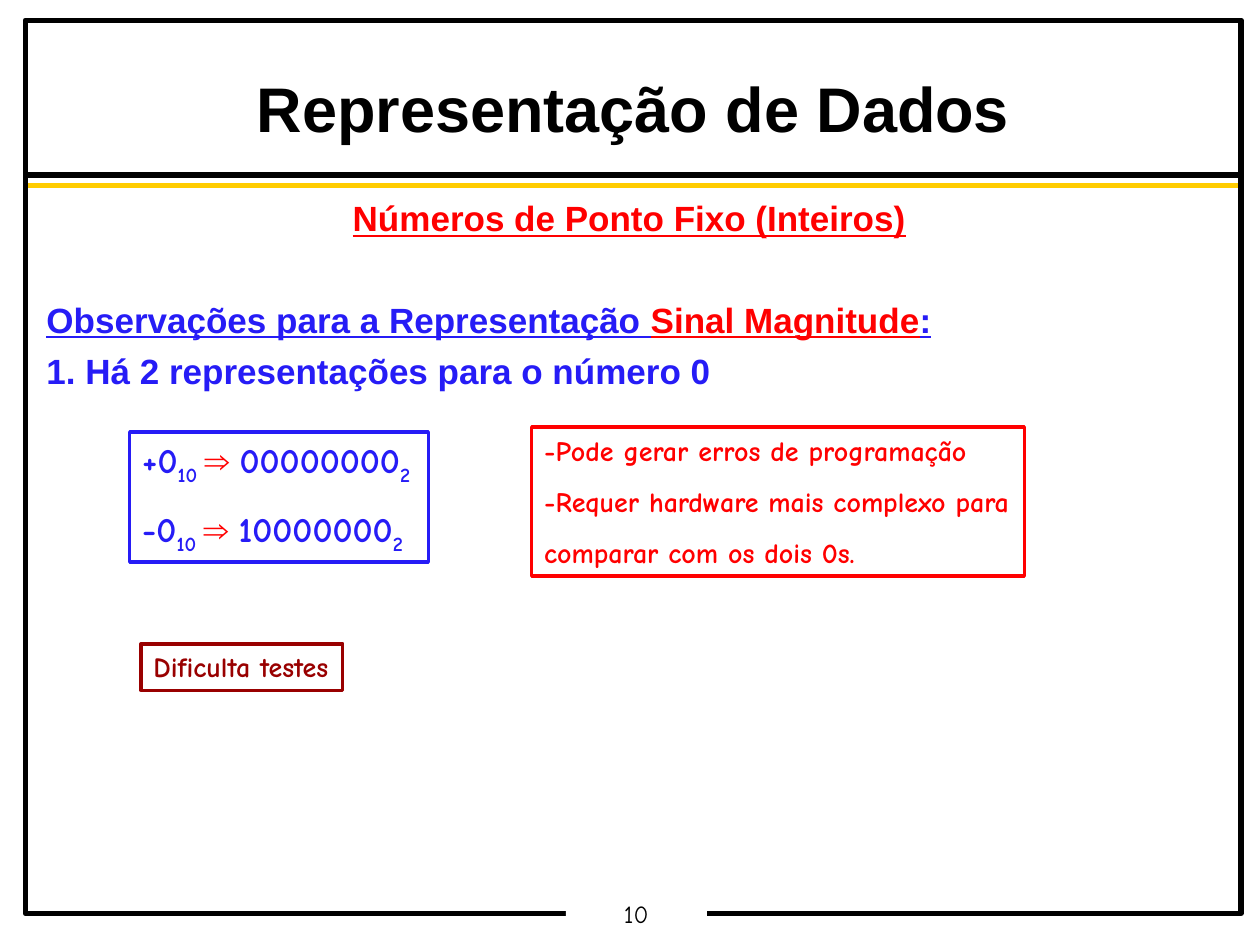
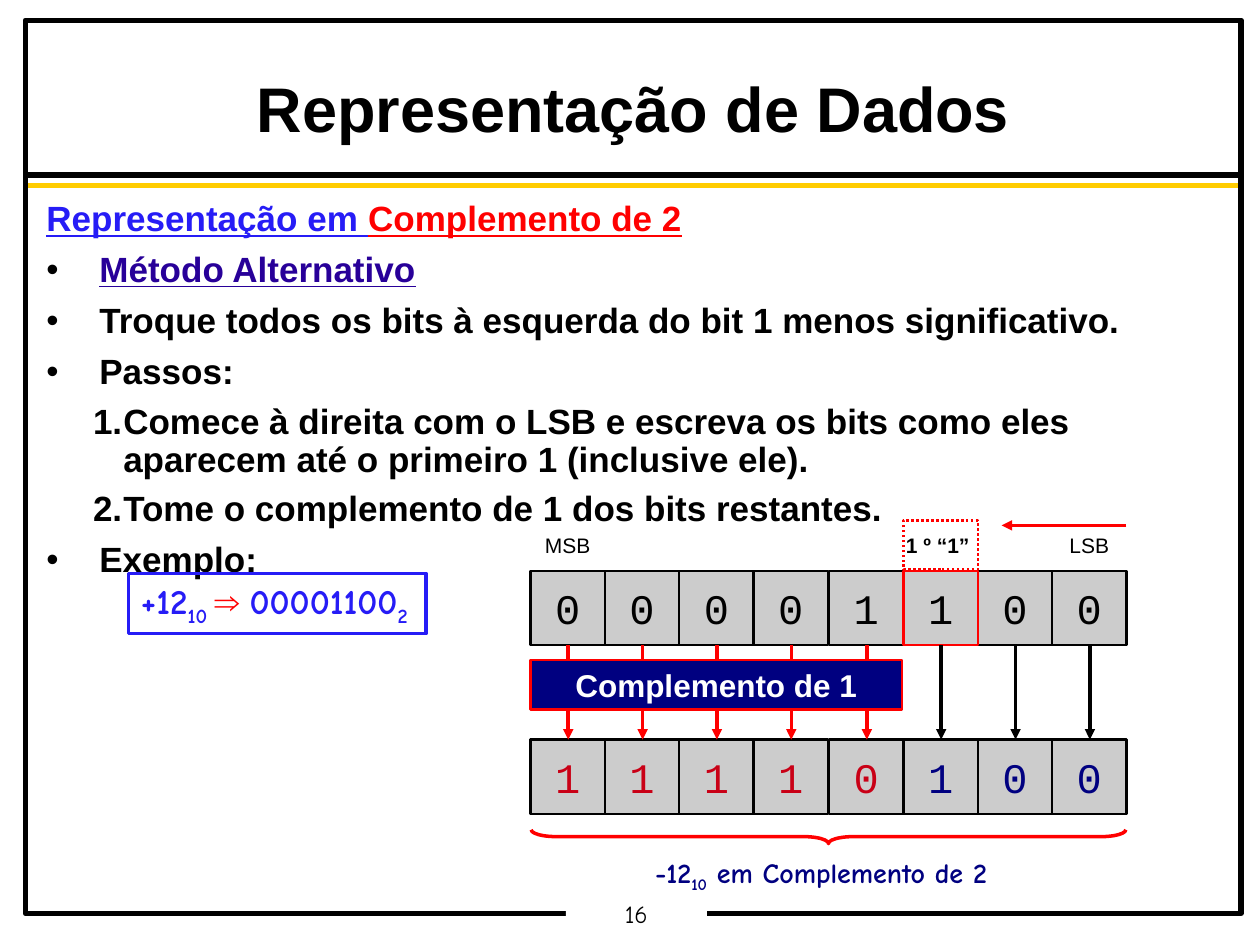
"""Builds two lecture slides on fixed-point number representation."""
from dataclasses import dataclass

from lxml import etree
from pptx import Presentation
from pptx import util as u
from pptx.dml.color import RGBColor
from pptx.enum import dml, shapes, text
from pptx.oxml import ns

PX = u.Inches(1) // 100


@dataclass(frozen=True)
class Theme:
    black: str = "000000"
    white: str = "FFFFFF"
    gold: str = "FFCC00"
    red: str = "FF0000"
    blue: str = "261CF6"
    violet: str = "280099"
    navy: str = "000080"
    maroon: str = "990000"
    crimson: str = "C90016"
    gray: str = "CCCCCC"
    sans: str = "Arial"
    comic: str = "Comic Neue"
    mono: str = "Courier New"
    title: int = 36
    bit: int = 24
    body: int = 20
    banner: int = 18
    note: int = 16
    page: int = 14
    label: int = 12
    frame: float = 3
    outline: float = 2
    cell: float = 1.42


THEME = Theme()


def span(content, **style):
    return content, style


def add_child(parent, tag, **attributes):
    return etree.SubElement(parent, ns.qn(tag), attributes)


def write(paragraph, content, *, size=THEME.body, color=THEME.black, font=THEME.sans,
          bold=False, underline=False, subscript=False):
    run = paragraph.add_run()
    run.text = content
    run.font.size = u.Pt(size)
    run.font.color.rgb = RGBColor.from_string(color)
    run.font.name = font
    run.font.bold = bold
    run.font.underline = underline
    if subscript:
        run._r.get_or_add_rPr().set("baseline", "-25000")


class Deck:
    """Holds the style and the current slide, and draws each kind of element."""

    def __init__(self, theme):
        self.theme = theme
        self.presentation = Presentation()
        self.presentation.slide_width = 1000 * PX
        self.presentation.slide_height = 750 * PX
        self.slide = None

    def new_slide(self, title, number):
        theme = self.theme
        self.slide = self.presentation.slides.add_slide(self.presentation.slide_layouts[6])
        for y, color in ((139, theme.black), (147, theme.gold)):
            self.line(20, y, 984, y, color, theme.frame)
        self.box(20, 16, 965, 709, line=theme.black, width=theme.frame)
        footer = self.box(449, 713, 112, 27, fill=theme.white)
        self.fill_text(footer, [[span(str(number))]], size=theme.page, font=theme.comic,
                       align="CENTER", spacing=0.9, inset=(7, 3))
        self.text(20, 57, 965, 63, [[span(title)]], size=theme.title, bold=True,
                  align="CENTER", spacing=0.95, inset=(7, 3))

    def box(self, x, y, width_px, height_px, fill=None, line=None, width=THEME.cell,
            kind=shapes.MSO_SHAPE.RECTANGLE):
        shape = self.slide.shapes.add_shape(kind, x * PX, y * PX, width_px * PX, height_px * PX)
        shape.shadow.inherit = False
        if fill:
            shape.fill.solid()
            shape.fill.fore_color.rgb = RGBColor.from_string(fill)
        else:
            shape.fill.background()
        if line:
            shape.line.color.rgb = RGBColor.from_string(line)
            shape.line.width = u.Pt(width)
        else:
            shape.line.fill.background()
        return shape

    def line(self, x1, y1, x2, y2, color, width, arrow=False):
        connector = self.slide.shapes.add_connector(
            shapes.MSO_CONNECTOR.STRAIGHT, x1 * PX, y1 * PX, x2 * PX, y2 * PX)
        connector.line.color.rgb = RGBColor.from_string(color)
        connector.line.width = u.Pt(width)
        if arrow:
            add_child(connector.line._get_or_add_ln(), "a:tailEnd", type="triangle")
        add_child(connector._element.spPr, "a:effectLst")

    def text(self, x, y, width, height, paragraphs, **layout):
        shape = self.slide.shapes.add_textbox(x * PX, y * PX, width * PX, height * PX)
        self.fill_text(shape, paragraphs, **layout)

    def fill_text(self, shape, paragraphs, align="LEFT", anchor="TOP", spacing=1.0, gap=0,
                  inset=(10, 5), wrap=True, **style):
        frame = shape.text_frame
        frame.word_wrap = wrap
        frame.vertical_anchor = text.MSO_ANCHOR[anchor]
        frame.margin_left = frame.margin_right = inset[0] * PX
        frame.margin_top = frame.margin_bottom = inset[1] * PX
        for index, spans in enumerate(paragraphs):
            paragraph = frame.add_paragraph() if index else frame.paragraphs[0]
            options = {"align": align, "gap": gap}
            if isinstance(spans, tuple):
                spans, changes = spans
                options.update(changes)
            if "bullet" in options:
                self.bullet(paragraph, options["bullet"])
            paragraph.alignment = text.PP_ALIGN[options["align"]]
            paragraph.line_spacing = spacing
            paragraph.space_before = u.Pt(options["gap"] if index else 0)
            for content, changes in spans:
                write(paragraph, content, **{**style, **changes})

    def bullet(self, paragraph, mark):
        numbered = mark == "1."
        margin, hang = (61, 24) if numbered else (42, 42)
        properties = paragraph._p.get_or_add_pPr()
        properties.set("marL", str(margin * PX))
        properties.set("indent", str(-hang * PX))
        if numbered:
            paragraph.level = 1
        add_child(add_child(properties, "a:buClr"), "a:srgbClr", val=self.theme.black)
        add_child(properties, "a:buFont", typeface=self.theme.sans)
        if numbered:
            add_child(properties, "a:buAutoNum", type="arabicPeriod")
        else:
            add_child(properties, "a:buChar", char=mark)

    def body(self, paragraphs):
        self.text(27, 155, 945, 513, paragraphs, size=self.theme.body, bold=True,
                  spacing=0.9, gap=7.5)

    def note(self, x, y, width, height, paragraphs, color, size=THEME.note, gap=10):
        shape = self.box(x, y, width, height, line=color, width=self.theme.outline)
        self.fill_text(shape, paragraphs, size=size, color=color, font=self.theme.comic,
                       bold=True, gap=gap)

    def conversions(self, x, y, width, height, pairs):
        arrow = span("⇒ ", font=self.theme.sans, color=self.theme.red)
        paragraphs = [[span(decimal), span("10 ", subscript=True), arrow,
                       span(binary), span("2", subscript=True)] for decimal, binary in pairs]
        self.note(x, y, width, height, paragraphs, self.theme.blue, self.theme.body, 12.5)

    def label(self, shape, content, **style):
        self.fill_text(shape, [[span(content)]], align="CENTER", anchor="MIDDLE",
                       inset=(0, 0), wrap=False, **style)

    def bit(self, x, y, digit, color, line):
        cell = self.box(x, y, 59, 59, fill=self.theme.gray, line=line)
        self.label(cell, digit, size=self.theme.bit, font=self.theme.mono, color=color)


def sign_magnitude(deck):
    theme = deck.theme
    deck.new_slide("Representação de Dados", 10)
    deck.body([
        ([span("Números de Ponto Fixo (Inteiros)", color=theme.red, underline=True)],
         {"align": "CENTER"}),
        ([span("Observações para a Representação ", color=theme.blue, underline=True),
          span("Sinal Magnitude", color=theme.red, underline=True),
          span(":", color=theme.blue, underline=True)], {"gap": 36.4}),
        [span("1. Há 2 representações para o número 0", color=theme.blue)],
    ])
    deck.conversions(103, 343, 237, 103, [("+0", "00000000"), ("-0", "10000000")])
    deck.note(422, 339, 391, 118, [
        [span("-Pode gerar erros de programação")],
        [span("-Requer hardware mais complexo para")],
        [span("comparar com os dois 0s.")],
    ], theme.red)
    deck.note(112, 511, 160, 37, [[span("Dificulta testes")]], theme.maroon)


def twos_complement(deck):
    theme = deck.theme
    point = {"bullet": "•"}
    step = {"bullet": "1.", "gap": 6.8}
    deck.new_slide("Representação de Dados", 16)
    deck.body([
        [span("Representação em ", color=theme.blue, underline=True),
         span("Complemento de 2", color=theme.red, underline=True)],
        ([span("Método Alternativo", color=theme.violet, underline=True)], point),
        ([span("Troque todos os bits à esquerda do bit 1 menos significativo.")], point),
        ([span("Passos:")], point),
        ([span("Comece à direita com o LSB e escreva os bits como eles aparecem "
               "até o primeiro 1 (inclusive ele).")], step),
        ([span("Tome o complemento de 1 dos bits restantes.")], step),
        ([span("Exemplo:")], point),
    ])
    deck.conversions(102, 455, 236, 48, [("+12", "00001100")])
    deck.text(510, 674, 292, 41,
              [[span("-12"), span("10", subscript=True), span(" em Complemento de 2")]],
              size=theme.note, color=theme.navy, font=theme.comic, bold=True)
    bit_diagram(deck, "00001100", "11110100")


def bit_diagram(deck, source, result):
    theme = deck.theme
    first_one = source.rindex("1")
    columns = [round(421 + 59.15 * index) for index in range(len(source))]
    for index, x in enumerate(columns):
        if index != first_one:
            deck.bit(x, 453, source[index], theme.black, theme.black)
        color = theme.crimson if index < first_one else theme.navy
        deck.bit(x, 587, result[index], color, theme.black)
    deck.bit(columns[first_one], 453, source[first_one], theme.black, theme.red)

    for index, content in ((0, "MSB"), (first_one, "1 º “1” "), (len(source) - 1, "LSB")):
        marked = index == first_one
        tag = deck.box(columns[index], 413, 59, 39, line=theme.red if marked else None)
        if marked:
            tag.line.dash_style = dml.MSO_LINE.ROUND_DOT
        deck.label(tag, content, size=theme.label, bold=marked)

    deck.line(894, 417, 795, 417, theme.red, theme.cell, arrow=True)
    for index, x in enumerate(columns):
        color = theme.red if index < first_one else theme.black
        deck.line(x + 30, 512, x + 30, 587, color, 0, arrow=True)
    banner = deck.box(421, 524, 295, 39, fill=theme.navy, line=theme.red)
    deck.label(banner, "Complemento de 1", size=theme.banner, color=theme.white, bold=True)

    brace = deck.box(652, 428, 11, 472, line=theme.red, width=theme.outline,
                     kind=shapes.MSO_SHAPE.RIGHT_BRACE)
    brace.adjustments[0] = 1.8
    brace.rotation = 90


def main():
    deck = Deck(THEME)
    sign_magnitude(deck)
    twos_complement(deck)
    deck.presentation.save("out.pptx")


if __name__ == "__main__":
    main()
